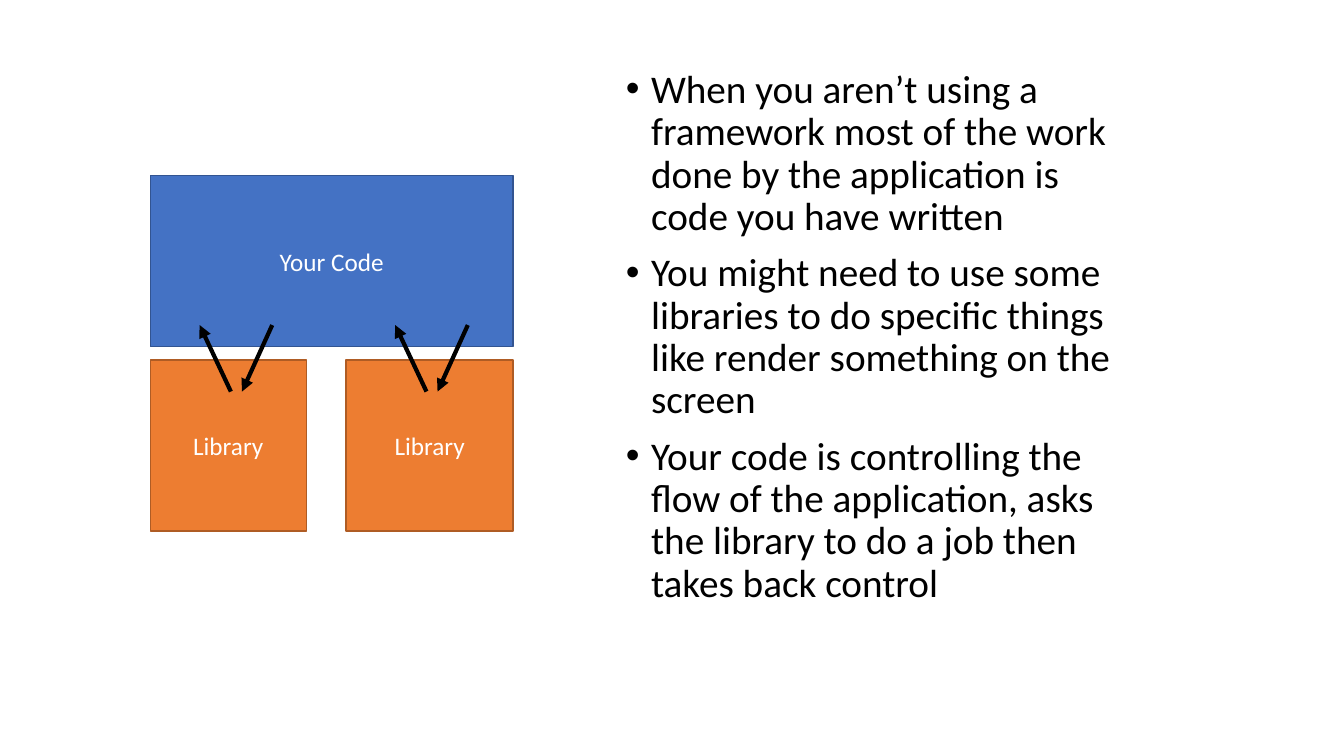
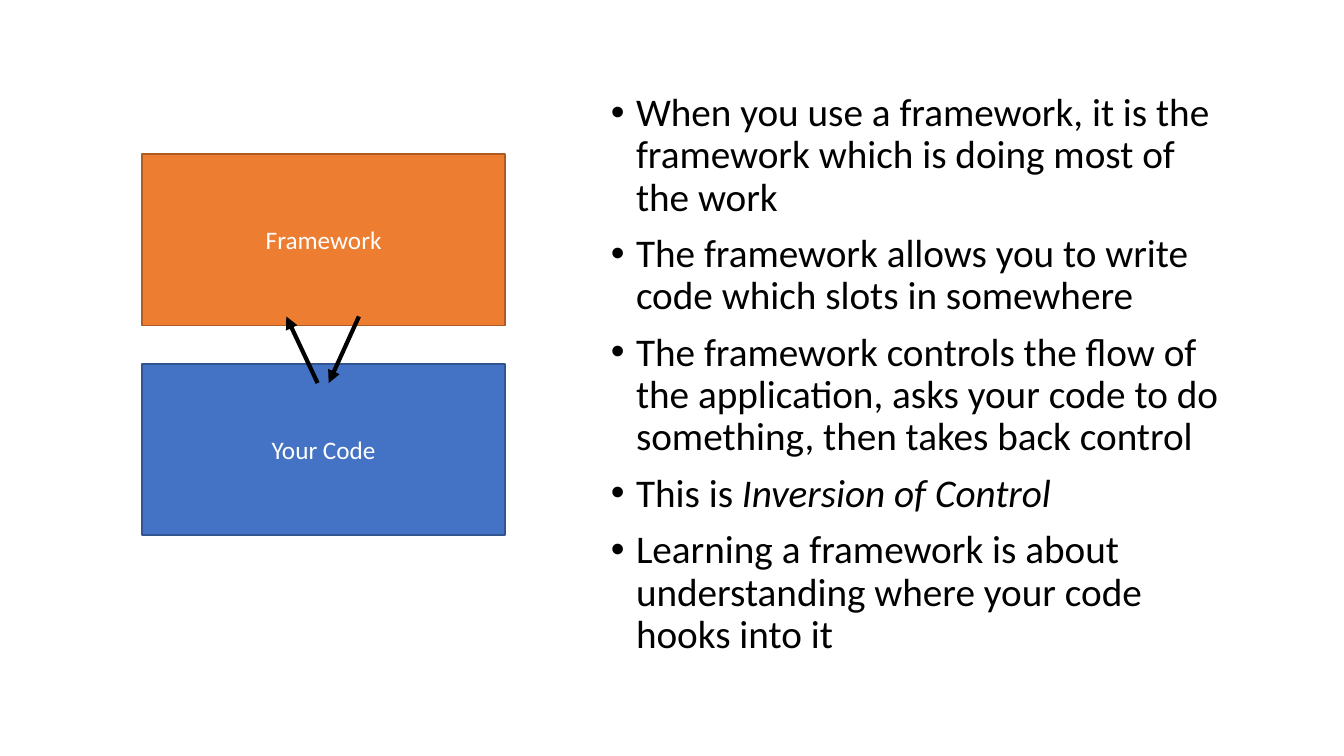
from collections import namedtuple

from lxml.etree import SubElement
from pptx import Presentation
from pptx.dml.color import RGBColor
from pptx.enum.shapes import MSO_CONNECTOR as Connector, MSO_SHAPE as Shape
from pptx.enum.text import MSO_ANCHOR as Anchor, PP_ALIGN as Align
from pptx.oxml.ns import qn
from pptx.util import Inches, Pt

Box = namedtuple("Box", "left top width height")
Block = namedtuple("Block", "label fill line start share")

BLACK = RGBColor(0x00, 0x00, 0x00)
WHITE = RGBColor(0xFF, 0xFF, 0xFF)
BLUE = RGBColor(0x44, 0x72, 0xC4)
DARK_BLUE = RGBColor(0x32, 0x54, 0x91)
ORANGE = RGBColor(0xED, 0x7D, 0x31)
DARK_ORANGE = RGBColor(0xAF, 0x5C, 0x24)

FONT = "Calibri"
INDENT = Inches(0.25)
ARROW_HEIGHT = 0.66
ARROW_DROP = 0.05

YOUR_CODE = Block("Your Code", BLUE, DARK_BLUE, 0, 1)
FRAMEWORK = Block("Framework", ORANGE, DARK_ORANGE, 0, 1)
LEFT_LIBRARY = Block("Library", ORANGE, DARK_ORANGE, 0, 0.43)
RIGHT_LIBRARY = Block("Library", ORANGE, DARK_ORANGE, 0.54, 0.46)

LIBRARY_POINTS = [
    ["When you aren’t using a framework most of the work done by the application is code you have written"],
    ["You might need to use some libraries to do specific things like render something on the screen"],
    ["Your code is controlling the flow of the application, asks the library to do a job then takes back control"],
]
FRAMEWORK_POINTS = [
    ["When you use a framework, it is the framework which is doing most of the work"],
    ["The framework allows you to write code which slots in somewhere"],
    ["The framework controls the flow of the application, asks your code to do something, then takes back control"],
    ["This is ", "Inversion of Control"],
    ["Learning a framework is about understanding where your code hooks into it"],
]


def add_span(para, text, size, color, italic=False):
    """Append one styled run to a paragraph."""
    span = para.add_run()
    span.text = text
    span.font.name = FONT
    span.font.size = Pt(size)
    span.font.color.rgb = color
    span.font.italic = italic


def add_bullets(page, box, points):
    """Fill a box with bullets; the second span of a point is italic."""
    frame = page.shapes.add_textbox(*map(Inches, box)).text_frame
    frame.word_wrap = True
    for number, spans in enumerate(points):
        para = frame.add_paragraph() if number else frame.paragraphs[0]
        para.line_spacing = 0.9
        para.space_before = Pt(10)
        for order, text in enumerate(spans):
            add_span(para, text, 28, BLACK, italic=order == 1)
        properties = para._p.get_or_add_pPr()
        properties.set("marL", str(INDENT))
        properties.set("indent", str(-INDENT))
        SubElement(properties, qn("a:buFont"), typeface="Arial")
        SubElement(properties, qn("a:buChar"), char="•")


def add_block(page, row, block):
    """Draw a labelled rectangle across its share of a row."""
    place = Box(row.left + block.start * row.width, row.top, block.share * row.width, row.height)
    shape = page.shapes.add_shape(Shape.RECTANGLE, *map(Inches, place))
    shape.shadow.inherit = False
    shape.fill.solid()
    shape.fill.fore_color.rgb = block.fill
    shape.line.color.rgb = block.line
    shape.line.width = Pt(1)
    shape.text_frame.word_wrap = True
    shape.text_frame.vertical_anchor = Anchor.MIDDLE
    para = shape.text_frame.paragraphs[0]
    para.alignment = Align.CENTER
    add_span(para, block.label, 18, WHITE)


def add_arrow(page, *ends):
    """Draw a thick black arrow from x, y to x, y."""
    arrow = page.shapes.add_connector(Connector.STRAIGHT, *map(Inches, ends))
    arrow.line.color.rgb = BLACK
    arrow.line.width = Pt(3)
    properties = arrow.element.spPr
    SubElement(properties.find(qn("a:ln")), qn("a:tailEnd"), type="triangle")
    SubElement(properties, qn("a:effectLst"))


def add_exchange(page, left, middle):
    """Draw a return arrow and a call arrow across a gap."""
    top = middle - ARROW_HEIGHT / 2
    bottom = top + ARROW_HEIGHT
    add_arrow(page, left + 0.31, bottom, left, top)
    add_arrow(page, left + 0.72, top, left + 0.42, bottom)


def add_diagram(page, box, gap, rows, exchanges):
    """Stack two rows of blocks and join them with arrow pairs."""
    height = (box.height - gap) / 2
    for number, blocks in enumerate(rows):
        row = Box(box.left, box.top + number * (height + gap), box.width, height)
        for block in blocks:
            add_block(page, row, block)
    for offset in exchanges:
        add_exchange(page, box.left + offset, box.top + box.height / 2 + ARROW_DROP)


def main():
    """Build and save the deck."""
    deck = Presentation()
    deck.slide_width, deck.slide_height = Inches(13.33), Inches(7.5)
    blank = deck.slide_layouts[6]

    page = deck.slides.add_slide(blank)
    add_bullets(page, Box(6.11, 0.64, 5.24, 6.2), LIBRARY_POINTS)
    add_diagram(page, Box(1.49, 1.74, 3.6, 3.53), 0.13,
                [[YOUR_CODE], [LEFT_LIBRARY, RIGHT_LIBRARY]], [0.49, 2.43])

    page = deck.slides.add_slide(blank)
    add_bullets(page, Box(5.96, 0.87, 6.29, 6.25), FRAMEWORK_POINTS)
    add_diagram(page, Box(1.41, 1.53, 3.6, 3.78), 0.38,
                [[FRAMEWORK], [YOUR_CODE]], [1.43])

    deck.save("out.pptx")


if __name__ == "__main__":
    main()
